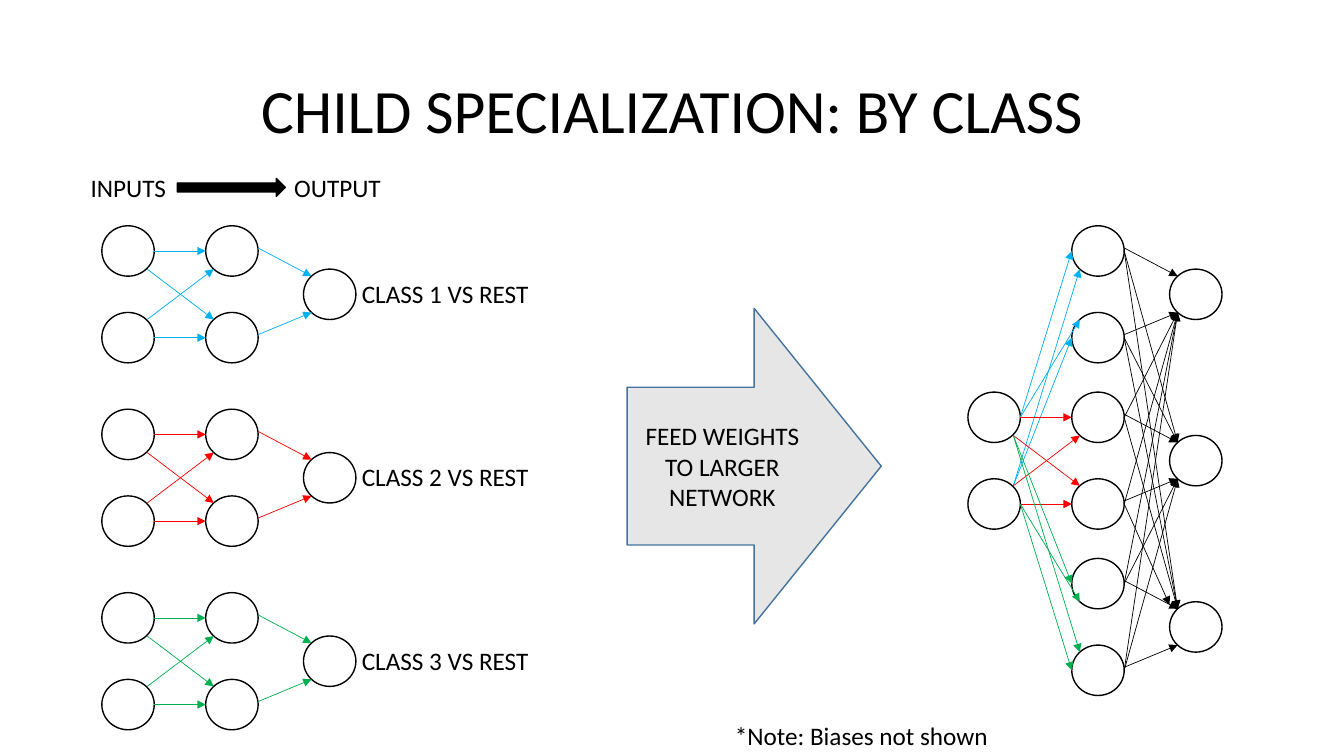
from dataclasses import dataclass

from lxml import etree
from pptx import Presentation
from pptx.dml.color import RGBColor
from pptx.enum.shapes import MSO_CONNECTOR, MSO_SHAPE
from pptx.enum.text import MSO_ANCHOR, MSO_AUTO_SIZE, PP_ALIGN
from pptx.oxml.ns import qn
from pptx.util import Inches, Pt

NEURON = MSO_SHAPE.FLOWCHART_CONNECTOR
RIGHT_ARROW = MSO_SHAPE.RIGHT_ARROW
STRAIGHT = MSO_CONNECTOR.STRAIGHT
MIDDLE = MSO_ANCHOR.MIDDLE
CENTER = PP_ALIGN.CENTER
GROW = MSO_AUTO_SIZE.SHAPE_TO_FIT_TEXT

CELL = 0.1
NODE_W, NODE_H = 5.2, 5.0
PAIR_STEP = 8.6
PORTS = {
    "right": (5.2, 2.5),
    "right_high": (5.2, 2.2),
    "upper_right": (4.5, 0.7),
    "lower_right": (4.5, 4.3),
    "left": (0, 2.5),
    "upper_left": (0.8, 0.7),
    "lower_left": (0.8, 4.3),
    "left_high": (0, 0.3),
}
PAIR_STARTS = ("right", "right", "lower_right", "upper_right")
MERGED_STARTS = (
    ("right", "upper_right", "right", "upper_right"),
    PAIR_STARTS,
    ("lower_right", "right", "lower_right", "right"),
)


@dataclass(frozen=True)
class Theme:
    """Colours and type sizes of the slide."""
    font: str = "Calibri"
    ink: str = "000000"
    paper: str = "FFFFFF"
    feed_fill: str = "E7E6E6"
    feed_line: str = "43739E"
    classes: tuple = ("00B0F0", "FF0000", "00B050")
    title_size: int = 44
    body_size: int = 18
    outline: float = 1
    link: float = 0.5


class NetworkSlide:
    """Draws network parts on a slide, measured in grid columns and rows."""

    def __init__(self, slide, theme):
        self.shapes = slide.shapes
        self.theme = theme

    def grid(self, *cells):
        return [Inches(cell * CELL) for cell in cells]

    def set_words(self, frame, words, size):
        frame.text = words
        paragraph = frame.paragraphs[0]
        paragraph.font.name = self.theme.font
        paragraph.font.size = Pt(size)
        paragraph.font.color.rgb = RGBColor.from_string(self.theme.ink)
        return paragraph

    def title(self, words, *place):
        frame = self.shapes.add_textbox(*self.grid(*place)).text_frame
        frame.word_wrap = True
        frame.vertical_anchor = MIDDLE
        heading = self.set_words(frame, words, self.theme.title_size)
        heading.alignment = CENTER
        heading.line_spacing = 0.9

    def label(self, words, *place):
        frame = self.shapes.add_textbox(*self.grid(*place)).text_frame
        frame.word_wrap = False
        frame.auto_size = GROW
        self.set_words(frame, words, self.theme.body_size)

    def block(self, preset, fill, line, place, words=None):
        block = self.shapes.add_shape(preset, *self.grid(*place))
        block.shadow.inherit = False
        block.fill.solid()
        block.fill.fore_color.rgb = RGBColor.from_string(fill)
        block.line.color.rgb = RGBColor.from_string(line)
        block.line.width = Pt(self.theme.outline)
        if words:
            block.text_frame.vertical_anchor = MIDDLE
            self.set_words(block.text_frame, words, self.theme.body_size).alignment = CENTER

    def neuron(self, column, row):
        self.block(NEURON, self.theme.paper, self.theme.ink, (column, row, NODE_W, NODE_H))
        return column, row

    def neuron_pair(self, column, row):
        return [self.neuron(column, row + i * PAIR_STEP) for i in range(2)]

    def link(self, source, start, target, end, color):
        ends = [
            node[axis] + PORTS[port][axis]
            for node, port in ((source, start), (target, end))
            for axis in range(2)
        ]
        link = self.shapes.add_connector(STRAIGHT, *self.grid(*ends))
        link.line.color.rgb = RGBColor.from_string(color)
        link.line.width = Pt(self.theme.link)
        properties = link._element.spPr
        head = etree.SubElement(properties.find(qn("a:ln")), qn("a:tailEnd"))
        head.set("type", "triangle")
        etree.SubElement(properties, qn("a:effectLst"))

    def link_pairs(self, inputs, hidden, starts, color):
        routes = ((0, 0, "left"), (1, 1, "left"), (0, 1, "upper_left"), (1, 0, "lower_left"))
        for (source, target, end), start in zip(routes, starts):
            self.link(inputs[source], start, hidden[target], end, color)

    def link_output(self, hidden, output, color):
        for neuron, end in zip(hidden, ("upper_left", "lower_left")):
            self.link(neuron, "right_high", output, end, color)


def draw_children(page):
    """Draw one small network for each class."""
    for index, color in enumerate(page.theme.classes):
        row = 22.4 + 18.2 * index
        inputs = page.neuron_pair(10.1, row)
        hidden = page.neuron_pair(20.4, row)
        output = page.neuron(30.1, row + PAIR_STEP / 2)
        page.link_pairs(inputs, hidden, PAIR_STARTS, color)
        page.link_output(hidden, output, color)
        page.label(f"CLASS {index + 1} VS REST", 34.9, row + 4.7, 18.7, 4)


def draw_merged(page):
    """Draw the larger network that takes all the weights."""
    ink = page.theme.ink
    rows = [22.4 + 16.5 * index for index in range(3)]
    inputs = page.neuron_pair(96, rows[1])
    hidden = [page.neuron_pair(106.3, row) for row in rows]
    outputs = [page.neuron(116, row + PAIR_STEP / 2) for row in rows]
    for pair, starts, color in zip(hidden, MERGED_STARTS, page.theme.classes):
        page.link_pairs(inputs, pair, starts, color)
    for group, pair in enumerate(hidden):
        for goal, output in enumerate(outputs):
            if group == goal:
                page.link_output(pair, output, ink)
                continue
            for member, neuron in enumerate(pair):
                end = "upper_left" if group < goal else "lower_left"
                if (group, member, goal) == (1, 1, 2):
                    end = "left_high"
                page.link(neuron, "right", output, end, ink)


def main():
    """Build and save the slide."""
    deck = Presentation()
    deck.slide_width, deck.slide_height = Inches(13.33), Inches(7.5)
    theme = Theme()
    page = NetworkSlide(deck.slides.add_slide(deck.slide_layouts[6]), theme)
    page.label("INPUTS", 8, 16.6, 9.6, 4)
    page.label("OUTPUT", 28.2, 16.6, 10.7, 4)
    page.block(RIGHT_ARROW, theme.ink, theme.ink, (17.6, 17.7, 10.7, 1.8))
    draw_children(page)
    draw_merged(page)
    page.block(RIGHT_ARROW, theme.feed_fill, theme.feed_line, (62.2, 30.6, 25.2, 31.3),
               "FEED WEIGHTS TO LARGER NETWORK")
    page.title("CHILD SPECIALIZATION: BY CLASS", 9.2, 4, 115, 14.5)
    page.label("*Note: Biases not shown", 71.9, 71, 27.4, 4)
    deck.save("out.pptx")


if __name__ == "__main__":
    main()
